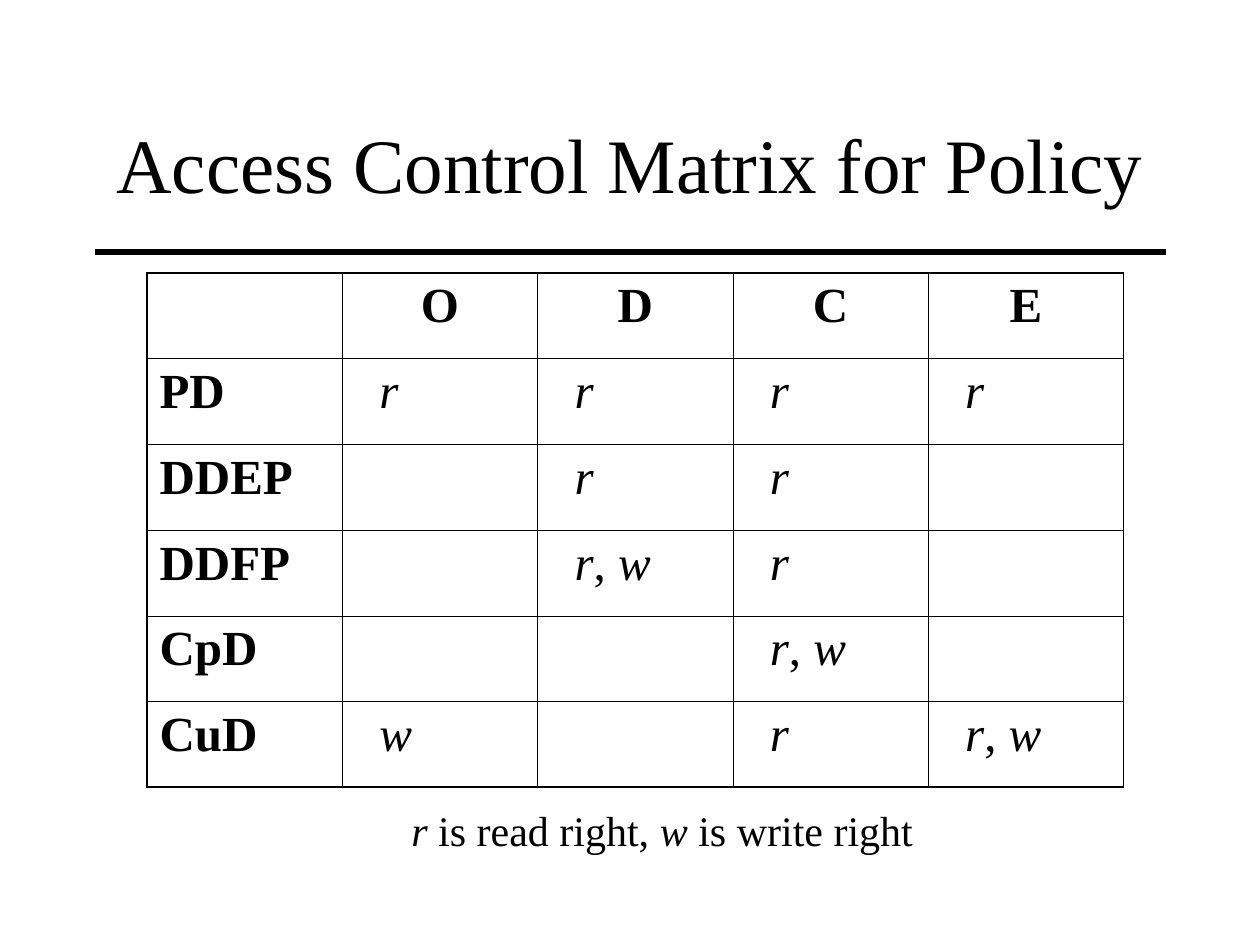
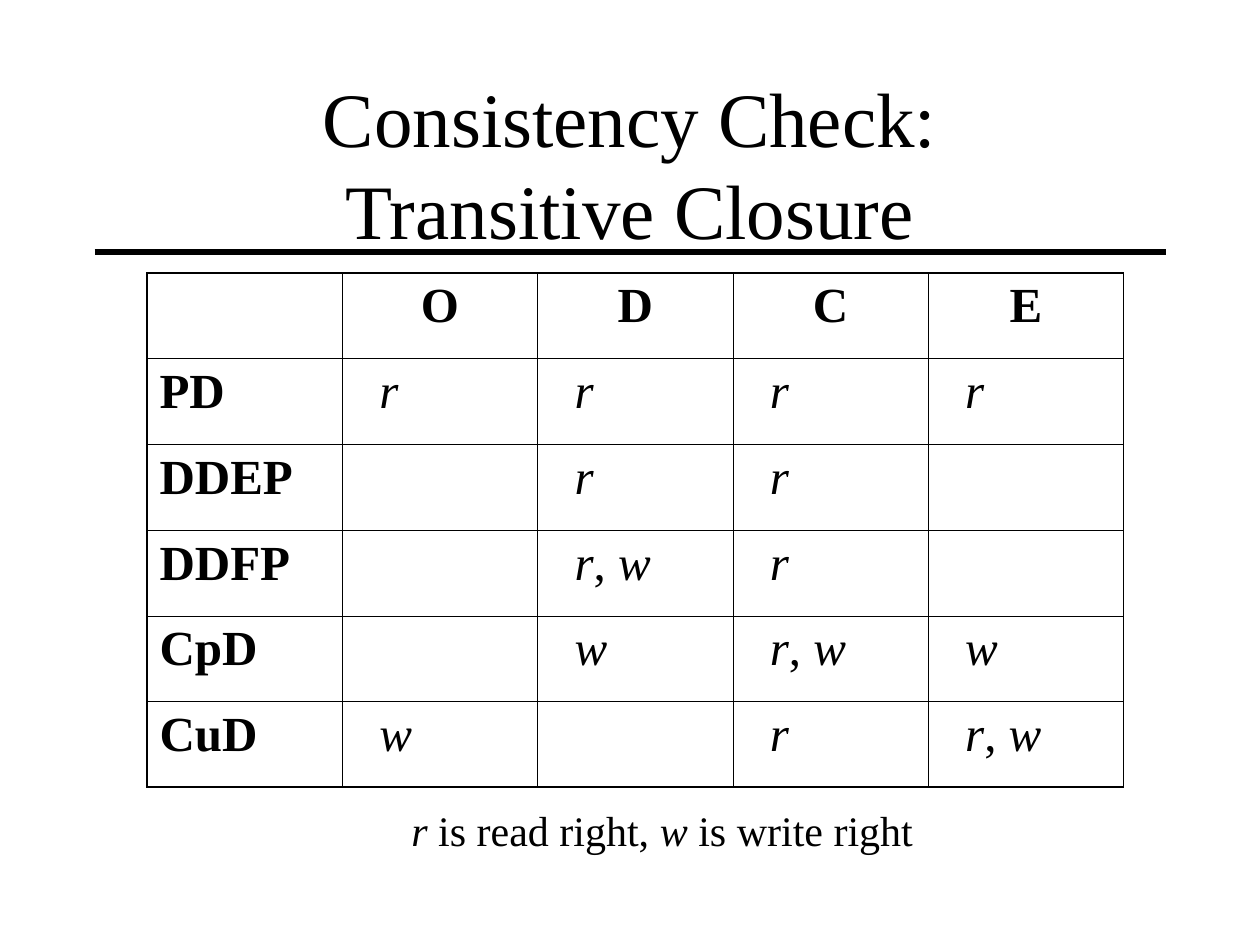
"""Build two access control matrix slides that share one layout."""
from pptx import Presentation
from pptx.dml.color import RGBColor
from pptx.enum.shapes import MSO_CONNECTOR
from pptx.enum.text import MSO_ANCHOR, MSO_AUTO_SIZE, PP_ALIGN
from pptx.oxml.ns import qn
from pptx.util import Pt
from lxml import etree

STRAIGHT = MSO_CONNECTOR.STRAIGHT
MIDDLE = MSO_ANCHOR.MIDDLE
NO_AUTOFIT = MSO_AUTO_SIZE.NONE
CENTER, LEFT = PP_ALIGN.CENTER, PP_ALIGN.LEFT

FONT = "Times New Roman"
COLORS = {"ink": "000000", "paper": "FFFFFF"}
TITLE_ONLY_LAYOUT = 5
COLUMN_WIDTH, ROW_HEIGHT = 111.6, 49
OUTER_BORDER, INNER_BORDER = 1.08, 0.45
CELL_MARGIN, RIGHTS_MARGIN = 7.2, 21.2

SUBJECTS = ["O", "D", "C", "E"]
POLICY_RIGHTS = {
    "PD": ["r", "r", "r", "r"],
    "DDEP": ["", "r", "r", ""],
    "DDFP": ["", "r, w", "r", ""],
    "CpD": ["", "", "r, w", ""],
    "CuD": ["w", "", "r", "r, w"],
}
CLOSURE_RIGHTS = POLICY_RIGHTS | {"CpD": ["", "w", "r, w", "w"]}
LEGEND = ["r", " is read right, ", "w", " is write right"]


def add_run(paragraph, text, size, bold=False, italic=False):
    """Add one run in the shared font and ink colour."""
    run = paragraph.add_run()
    run.text = text
    font = run.font
    font.name, font.size = FONT, Pt(size)
    font.bold, font.italic = bold, italic
    font.color.rgb = RGBColor.from_string(COLORS["ink"])


def add_rights(paragraph, pieces, size):
    """Add pieces of text, with the names of rights in italics."""
    for piece in pieces:
        add_run(paragraph, piece, size, italic=piece in ("r", "w"))


def set_title(slide, lines):
    """Place the title and write its lines."""
    title = slide.shapes.title
    title.left, title.top, title.width, title.height = Pt(54), Pt(48), Pt(612), Pt(90)
    frame = title.text_frame
    frame.auto_size = NO_AUTOFIT
    frame.word_wrap = True
    frame.vertical_anchor = MIDDLE
    paragraph = frame.paragraphs[0]
    paragraph.alignment = CENTER
    for index, line in enumerate(lines):
        if index:
            paragraph.add_line_break()
        add_run(paragraph, line, 44)


def add_title_rule(slide):
    """Draw the heavy rule below the title."""
    rule = slide.shapes.add_connector(STRAIGHT, Pt(54), Pt(144), Pt(666), Pt(144))
    rule.line.width = Pt(3)
    rule.line.color.rgb = RGBColor.from_string(COLORS["ink"])
    etree.SubElement(rule._element.spPr, qn("a:effectLst"))


def set_borders(cell, outer_sides):
    """Draw the four borders of a cell, heavier on its outer sides."""
    properties = cell._tc.get_or_add_tcPr()
    for side in "LRTB":
        width = OUTER_BORDER if side in outer_sides else INNER_BORDER
        line = etree.SubElement(properties, qn(f"a:ln{side}"), w=str(int(Pt(width))))
        fill = etree.SubElement(line, qn("a:solidFill"))
        etree.SubElement(fill, qn("a:srgbClr"), val=COLORS["ink"])


def fill_cell(cell, text, is_header, is_label):
    """Write a bold heading or an indented list of rights."""
    is_right = not (is_header or is_label)
    cell.margin_left = Pt(RIGHTS_MARGIN if is_right else CELL_MARGIN)
    paragraph = cell.text_frame.paragraphs[0]
    paragraph.alignment = CENTER if is_header else LEFT
    if not text:
        return
    if is_right:
        add_rights(paragraph, text.partition(", ") if ", " in text else [text], 28)
    else:
        add_run(paragraph, text, 28, bold=True)


def add_matrix(slide, rights):
    """Add the table of rights by document and subject."""
    rows = [["", *SUBJECTS]] + [[label, *cells] for label, cells in rights.items()]
    last_row, last_column = len(rows) - 1, len(SUBJECTS)
    table = slide.shapes.add_table(
        len(rows), last_column + 1, Pt(84), Pt(156),
        Pt(COLUMN_WIDTH * (last_column + 1)), Pt(ROW_HEIGHT * len(rows))).table
    table.first_row = table.horz_banding = False
    for row, texts in enumerate(rows):
        for column, text in enumerate(texts):
            cell = table.cell(row, column)
            edges = {"L": column == 0, "R": column == last_column,
                     "T": row == 0, "B": row == last_row}
            set_borders(cell, [side for side, is_outer in edges.items() if is_outer])
            cell.fill.background()
            fill_cell(cell, text, row == 0, column == 0)


def add_legend(slide):
    """Explain the letters used in the matrix."""
    box = slide.shapes.add_textbox(Pt(228), Pt(456), Pt(301), Pt(36))
    box.text_frame.word_wrap = False
    add_rights(box.text_frame.paragraphs[0], LEGEND, 24)


def add_matrix_slide(presentation, title_lines, rights):
    """Add one slide with a title, a rule, a matrix and a legend."""
    slide = presentation.slides.add_slide(presentation.slide_layouts[TITLE_ONLY_LAYOUT])
    background = slide.background.fill
    background.solid()
    background.fore_color.rgb = RGBColor.from_string(COLORS["paper"])
    set_title(slide, title_lines)
    add_title_rule(slide)
    add_matrix(slide, rights)
    add_legend(slide)


def main():
    """Build and save the presentation."""
    presentation = Presentation()
    presentation.slide_width, presentation.slide_height = Pt(720), Pt(540)
    add_matrix_slide(presentation, ["Access Control Matrix for Policy"], POLICY_RIGHTS)
    add_matrix_slide(presentation, ["Consistency Check:", "Transitive Closure"], CLOSURE_RIGHTS)
    presentation.save("out.pptx")


if __name__ == "__main__":
    main()
